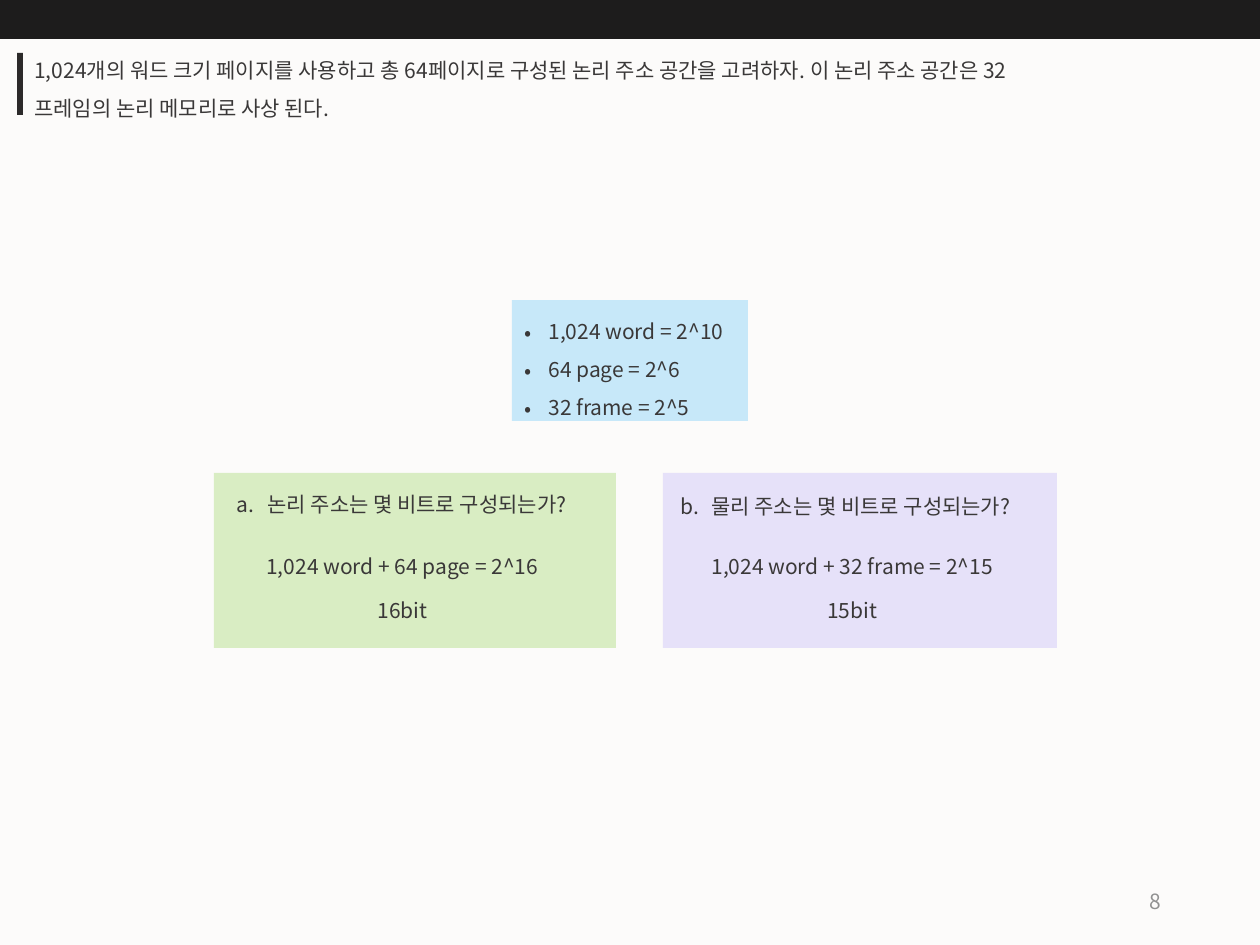
"""Build the slide that works out logical and physical address bits."""
from dataclasses import dataclass

from lxml import etree
from pptx import Presentation
from pptx import util as u
from pptx.dml.color import RGBColor
from pptx.enum import shapes, text
from pptx.oxml.ns import qn


@dataclass(frozen=True)
class Theme:
    font: str = "Noto Sans CJK KR"
    size: int = 12
    paper: str = "FCFBFA"
    band: str = "1D1C1C"
    marker: str = "2C2A2A"
    ink: str = "3A3838"
    muted: str = "919191"
    facts: str = "C7E8F9"
    logical: str = "92D050"
    physical: str = "B9ABF7"
    opacity: int = 32


theme = Theme()
SCALE = 914400 / 126


def add_block(parent, bounds, color):
    block = parent.add_shape(shapes.MSO_SHAPE.RECTANGLE, *(round(n * SCALE) for n in bounds))
    block.shadow.inherit = False
    block.fill.solid()
    block.fill.fore_color.rgb = RGBColor.from_string(color)
    block.line.fill.background()
    return block


def add_text(parent, bounds, lines, color=theme.ink, wrap=False, spacing=None, indent=0, bullet=None):
    box = parent.add_textbox(*(round(n * SCALE) for n in bounds))
    frame = box.text_frame
    frame.text = "\n".join(lines)
    frame.word_wrap = wrap
    frame.auto_size = text.MSO_AUTO_SIZE.SHAPE_TO_FIT_TEXT
    for para in frame.paragraphs:
        para.line_spacing = spacing
        if bullet:
            tag, attributes = bullet
            props = para._p.get_or_add_pPr()
            props.set("marL", str(round(indent * SCALE)))
            props.set("indent", str(round(-indent * SCALE)))
            etree.SubElement(props, qn("a:buFont"), typeface=theme.font)
            etree.SubElement(props, qn(tag), attributes)
        for span in para.runs:
            span.font.size = u.Pt(theme.size)
            span.font.color.rgb = RGBColor.from_string(color)
            span.font.name = theme.font
            etree.SubElement(span._r.get_or_add_rPr(), qn("a:ea"), typeface=theme.font)
    return box


deck = Presentation()
deck.slide_width = round(1260 * SCALE)
deck.slide_height = round(945 * SCALE)
page = deck.slides.add_slide(deck.slide_layouts[6])
page.background.fill.solid()
page.background.fill.fore_color.rgb = RGBColor.from_string(theme.paper)

add_block(page.shapes, (0, 0, 1260, 39), theme.band)
add_block(page.shapes, (17, 53, 6, 62), theme.marker)

number = add_text(page.shapes, (890, 876, 284, 50), ["8"], theme.muted, wrap=True)
number.text_frame.auto_size = text.MSO_AUTO_SIZE.NONE
number.text_frame.vertical_anchor = text.MSO_ANCHOR.MIDDLE
number.text_frame.paragraphs[0].alignment = text.PP_ALIGN.RIGHT

problem = (
    "1,024개의 워드 크기 페이지를 사용하고 총 64페이지로 구성된 논리 주소 공간을 고려하자. "
    "이 논리 주소 공간은 32프레임의 논리 메모리로 사상 된다."
)
add_text(page.shapes, (22, 39, 1027, 83), [problem], wrap=True, spacing=1.5)

facts = add_text(
    page.shapes, (512, 300, 236, 121),
    ["1,024 word = 2^10", "64 page = 2^6", "32 frame = 2^5"],
    spacing=1.5, indent=24, bullet=("a:buChar", {"char": "•"}),
)
facts.fill.solid()
facts.fill.fore_color.rgb = RGBColor.from_string(theme.facts)

questions = [
    ((214, 473, 402, 175), theme.logical, (224, 485, 394, 38), "논리 주소는 몇 비트로 구성되는가?",
     (254, 547, 321, 90), ["1,024 word + 64 page = 2^16", "16bit"]),
    ((663, 473, 394, 175), theme.physical, (668, 487, 394, 38), "물리 주소는 몇 비트로 구성되는가?",
     (699, 547, 331, 90), ["1,024 word + 32 frame = 2^15", "15bit"]),
]
for start, question in enumerate(questions, 1):
    card_bounds, color, title_bounds, title, answer_bounds, answer = question
    group = page.shapes.add_group_shape().shapes
    card = add_block(group, card_bounds, color)
    tint = card.fill._xPr.find(f".//{qn('a:srgbClr')}")
    etree.SubElement(tint, qn("a:alpha"), val=str(theme.opacity * 1000))
    numbering = {"type": "alphaLcPeriod", "startAt": str(start)}
    add_text(group, title_bounds, [title], indent=31, bullet=("a:buAutoNum", numbering))
    result = add_text(group, answer_bounds, answer).text_frame.paragraphs[1]
    result.alignment = text.PP_ALIGN.CENTER
    result.space_before = u.Pt(11)

deck.save("out.pptx")
